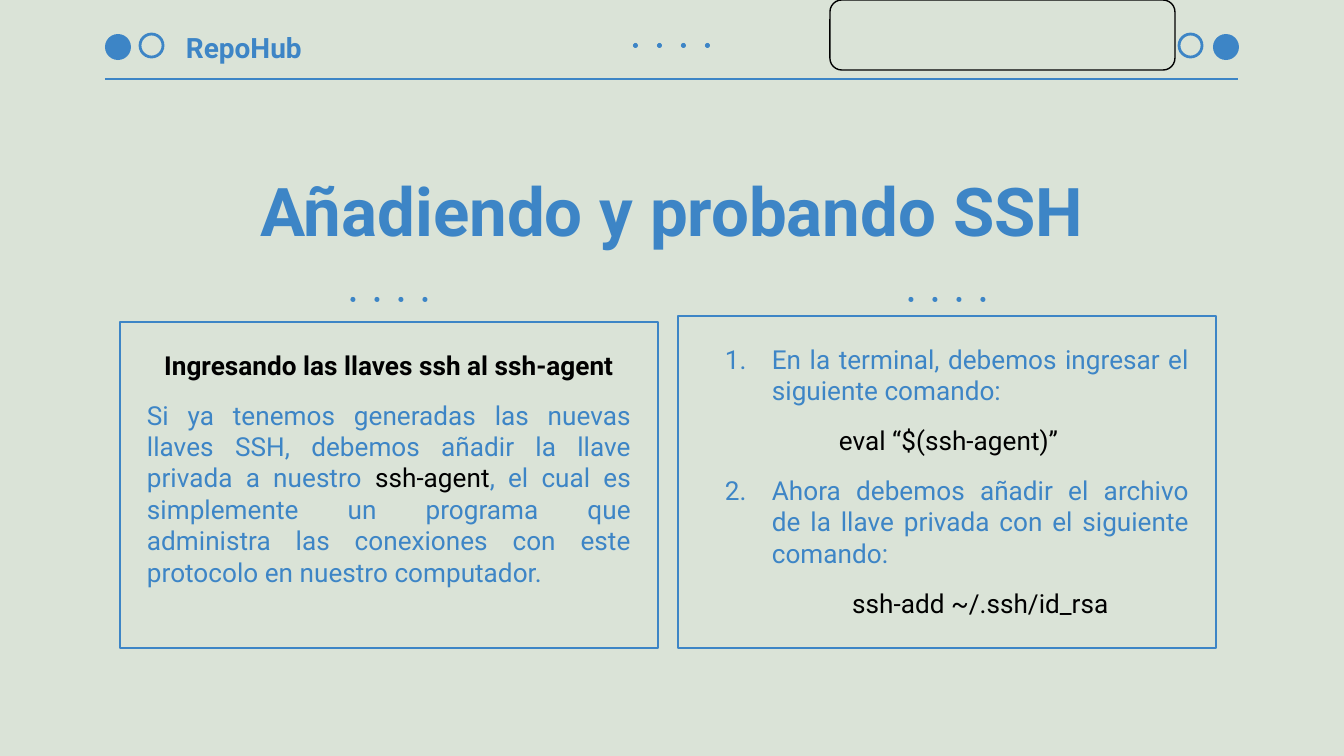
from lxml.etree import SubElement
from pptx import Presentation
from pptx.dml.color import RGBColor
from pptx.enum.shapes import MSO_CONNECTOR, MSO_SHAPE
from pptx.enum.text import MSO_ANCHOR, PP_ALIGN
from pptx.oxml.ns import qn
from pptx.util import Pt

PX = 914400 / 134.4
BLUE = RGBColor(0x3D, 0x85, 0xC6)
BLACK = RGBColor(0, 0, 0)
SAGE = RGBColor(0xDA, 0xE3, 0xD7)
FONT = "Roboto"
WIDTH, HEIGHT = 1344, 756


def px(*lengths):
    return [round(length * PX) for length in lengths]


def add_shape(page, kind, box, fill=None, line=None, weight=0.75):
    shape = page.shapes.add_shape(kind, *px(*box))
    shape.shadow.inherit = False
    if fill is None:
        shape.fill.background()
    else:
        shape.fill.solid()
        shape.fill.fore_color.rgb = fill
    if line is None:
        shape.line.fill.background()
    else:
        shape.line.color.rgb = line
        shape.line.width = Pt(weight)
    return shape


def set_frame(frame, margin, anchor=MSO_ANCHOR.TOP):
    frame.word_wrap = True
    frame.vertical_anchor = anchor
    inset, = px(margin)
    frame.margin_left = frame.margin_right = inset
    frame.margin_top = frame.margin_bottom = inset


def style(font, size, color, bold=False):
    font.name, font.size, font.bold = FONT, Pt(size), bold
    font.color.rgb = color


def set_indent(para, left, first):
    left, first = px(left, first)
    props = para._p.get_or_add_pPr()
    props.set("marL", str(left))
    props.set("indent", str(first))


def add_number(para, number):
    props = para._p.get_or_add_pPr()
    color = SubElement(SubElement(props, qn("a:buClr")), qn("a:srgbClr"))
    color.set("val", str(BLUE))
    bullet = SubElement(props, qn("a:buAutoNum"))
    bullet.set("type", "arabicPeriod")
    bullet.set("startAt", str(number))


def add_dots(page, center, top, count=4, size=5, pitch=24):
    left = center - ((count - 1) * pitch + size) / 2
    for i in range(count):
        add_shape(page, MSO_SHAPE.OVAL, (left + i * pitch, top, size, size), BLUE)


def add_header(page, left, top, width, height):
    # Rule under the header
    bottom, right = top + height, left + width
    rule = page.shapes.add_connector(
        MSO_CONNECTOR.STRAIGHT, *px(left, bottom, right, bottom))
    rule.line.color.rgb = BLUE
    rule.line.width = Pt(0.75)
    SubElement(rule._element.spPr, qn("a:effectLst"))

    # Disc at each end, with a ring on its inner side
    for disc, ring in ((left, left + 35), (right - 25, right - 59)):
        add_shape(page, MSO_SHAPE.OVAL, (disc, top + 34, 26, 26), BLUE)
        add_shape(page, MSO_SHAPE.OVAL, (ring, top + 34, 23, 23), line=BLUE, weight=1.5)

    # Section name
    label = page.shapes.add_textbox(*px(left + 68, top + 22, 146, 50)).text_frame
    set_frame(label, 13, MSO_ANCHOR.MIDDLE)
    para = label.paragraphs[0]
    para.text = "RepoHub"
    style(para.font, 15, BLUE, True)

    add_dots(page, left + width / 2, top + 43)

    # Empty panel
    panel = add_shape(page, MSO_SHAPE.ROUNDED_RECTANGLE,
                      (left + 725, top, 345, 70), SAGE, BLACK)
    panel.adjustments[0] = 0.17


def add_title(page, *box):
    title = page.shapes.title
    title.left, title.top, title.width, title.height = px(*box)
    set_frame(title.text_frame, 13)
    para = title.text_frame.paragraphs[0]
    para.text = "Añadiendo y probando SSH"
    para.alignment = PP_ALIGN.CENTER
    style(para.font, 36, BLUE, True)


def add_panel(page, left, top, width, height):
    add_dots(page, left + width / 2, 297)
    frame = add_shape(page, MSO_SHAPE.RECTANGLE,
                      (left, top, width, height), line=BLUE).text_frame
    set_frame(frame, 27)
    return frame


def add_agent_panel(page, *box):
    frame = add_panel(page, *box)
    heading = frame.paragraphs[0]
    heading.text = "Ingresando las llaves ssh al ssh-agent"
    heading.alignment = PP_ALIGN.CENTER
    style(heading.font, 14, BLACK, True)

    body = frame.add_paragraph()
    body.alignment = PP_ALIGN.JUSTIFY
    body.space_before = Pt(10)
    for text, color in (
        ("Si ya tenemos generadas las nuevas llaves SSH, debemos añadir "
         "la llave privada a nuestro ", BLUE),
        ("ssh-agent", BLACK),
        (", el cual es simplemente un programa que administra las conexiones "
         "con este protocolo en nuestro computador.", BLUE),
    ):
        span = body.add_run()
        span.text = text
        style(span.font, 14, color)


def add_steps_panel(page, *box):
    frame = add_panel(page, *box)
    # Text, step number (None for a command), first-line indent, alignment
    steps = (
        ("En la terminal, debemos ingresar el siguiente comando:",
         1, -47, PP_ALIGN.JUSTIFY),
        ("eval “$(ssh-agent)”", None, 67, PP_ALIGN.JUSTIFY),
        ("Ahora debemos añadir el archivo de la llave privada con el "
         "siguiente comando:", 2, -47, PP_ALIGN.JUSTIFY),
        ("ssh-add ~/.ssh/id_rsa", None, 0, PP_ALIGN.CENTER),
    )
    for i, (text, number, first, alignment) in enumerate(steps):
        para = frame.add_paragraph() if i else frame.paragraphs[0]
        para.text = text
        para.alignment = alignment
        para.space_before = Pt(10 if i else 0)
        style(para.font, 14, BLUE if number else BLACK)
        set_indent(para, 67, first)
        if number:
            # Bullets come before the default run properties in the schema
            add_number(para, number)
            props = para._p.pPr
            props.append(props.find(qn("a:defRPr")))


def main():
    deck = Presentation()
    deck.slide_width, deck.slide_height = px(WIDTH, HEIGHT)
    page = deck.slides.add_slide(deck.slide_layouts[5])
    page.background.fill.solid()
    page.background.fill.fore_color.rgb = SAGE

    add_header(page, 105, 0, 1133, 79)
    add_title(page, 98, 156, 1148, 95)
    add_agent_panel(page, 120, 322, 538, 326)
    add_steps_panel(page, 678, 316, 538, 332)
    deck.save("out.pptx")


if __name__ == "__main__":
    main()
